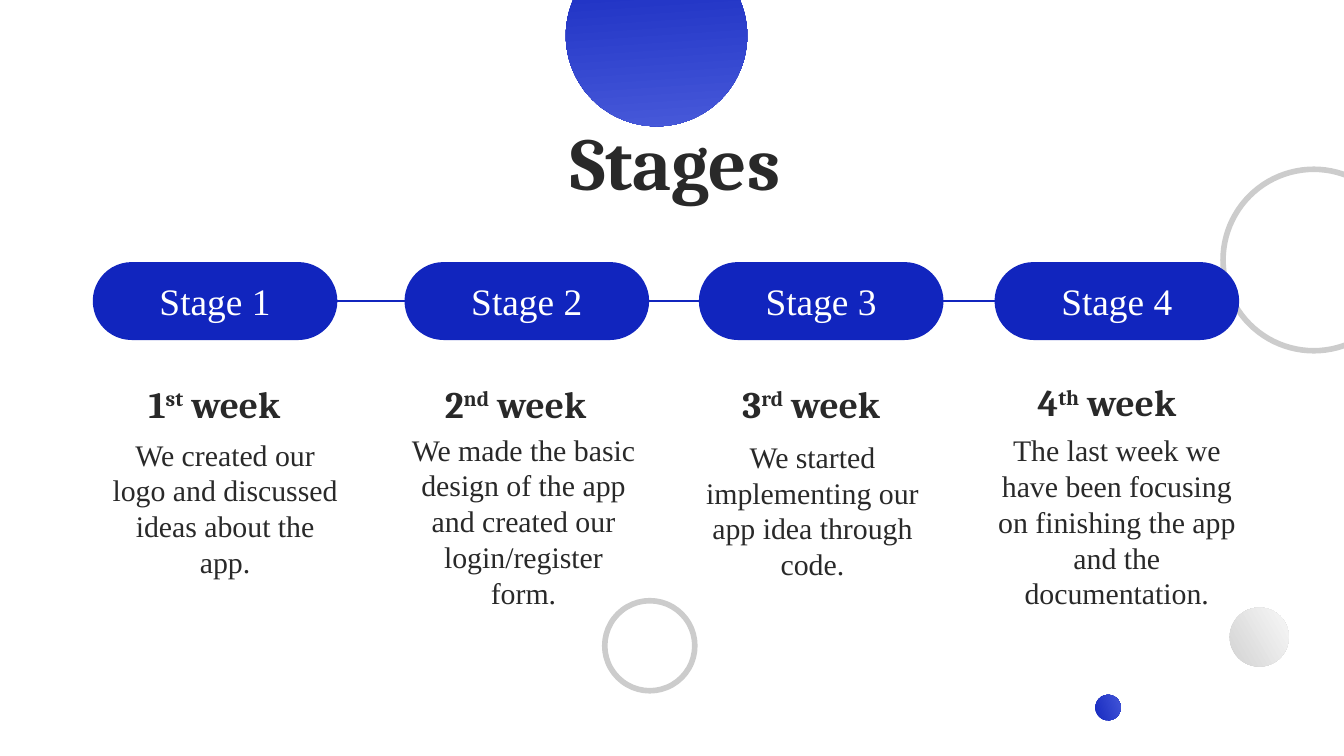
from dataclasses import dataclass

from lxml import etree
from pptx import Presentation
from pptx.dml.color import RGBColor
from pptx.enum import shapes as kinds, text as txt
from pptx.oxml.ns import qn
from pptx.util import Inches, Pt


@dataclass(frozen=True)
class Theme:
    blue: str = "1125BE"
    light_blue: str = "495BDA"
    grey: str = "CCCCCC"
    white: str = "FFFFFF"
    ink: str = "292929"
    heading_font: str = "Cambria"
    body_font: str = "Times New Roman"
    title_size: int = 40
    label_size: int = 20
    body_size: int = 16
    ring_width: float = 3
    link_width: float = 1.5


THEME = Theme()
PILL_TOP, PILL_WIDTH, PILL_HEIGHT = 1.95, 1.82, 0.58

# Pill left, number, ordinal suffix, week box, description, description box
STAGES = [
    (0.69, "1", "st", (0.65, 2.71, 1.89, 0.58),
     "We created our logo and discussed ideas about the app.",
     (0.73, 3.38, 1.89, 0.8)),
    (3.01, "2", "nd", (2.89, 2.71, 1.89, 0.58),
     "We made the basic design of the app and created our login/register form.",
     (2.95, 3.37, 1.89, 1.01)),
    (5.2, "3", "rd", (5.14, 2.71, 1.79, 0.58),
     "We started implementing our app idea through code.",
     (5.1, 3.29, 1.89, 1.01)),
    (7.4, "4", "th", (7.34, 2.7, 1.79, 0.58),
     "The last week we have been focusing on finishing the app and the documentation.",
     (7.3, 3.25, 2.02, 1.26)),
]


def rgb(colour):
    return RGBColor.from_string(colour)


def inches(box):
    return [Inches(length) for length in box]


def write(shape, pieces, font, size, colour, bold=False):
    """Fill a shape with one centred paragraph of (words, is_superscript) pieces."""
    frame = shape.text_frame
    frame.word_wrap = True
    frame.auto_size = txt.MSO_AUTO_SIZE.NONE
    frame.vertical_anchor = txt.MSO_ANCHOR.MIDDLE
    frame.margin_left = frame.margin_right = Inches(0.1)
    frame.margin_top = frame.margin_bottom = Inches(0.1)
    paragraph = frame.paragraphs[0]
    paragraph.alignment = txt.PP_ALIGN.CENTER
    for words, is_superscript in pieces:
        run = paragraph.add_run()
        run.text = words
        run.font.name = font
        run.font.size = Pt(size)
        run.font.bold = bold
        run.font.color.rgb = rgb(colour)
        if is_superscript:
            run.font._element.set("baseline", "30000")


def add_circle(slide, left, top, diameter):
    circle = slide.shapes.add_shape(
        kinds.MSO_SHAPE.OVAL, *inches((left, top, diameter, diameter)))
    circle.shadow.inherit = False
    return circle


def add_ball(slide, left, top, diameter, rotation, start, end):
    ball = add_circle(slide, left, top, diameter)
    ball.rotation = rotation
    ball.line.fill.background()
    ball.fill.gradient()
    ball.fill.gradient_angle = 270
    for stop, colour in zip(ball.fill.gradient_stops, (start, end)):
        stop.color.rgb = rgb(colour)


def add_ring(slide, left, top, diameter):
    ring = add_circle(slide, left, top, diameter)
    ring.fill.background()
    ring.line.color.rgb = rgb(THEME.grey)
    ring.line.width = Pt(THEME.ring_width)


def add_decoration(slide):
    add_ball(slide, 8.15, 5.17, 0.19, 251, THEME.blue, THEME.light_blue)
    add_ball(slide, 9.15, 4.52, 0.44, 240, THEME.grey, THEME.white)
    add_ring(slide, 9.1, 1.26, 1.35)
    add_ball(slide, 4.21, -0.41, 1.35, 356.1, THEME.blue, THEME.light_blue)
    add_ring(slide, 4.5, 4.47, 0.67)


def add_title(slide, box):
    title = slide.shapes.title
    title.left, title.top, title.width, title.height = inches(box)
    write(title, [("Stages", False)], THEME.heading_font, THEME.title_size,
          THEME.ink, bold=True)


def add_pill(slide, box, label):
    pill = slide.shapes.add_shape(kinds.MSO_SHAPE.ROUNDED_RECTANGLE, *inches(box))
    pill.adjustments[0] = 0.5
    pill.shadow.inherit = False
    pill.fill.solid()
    pill.fill.fore_color.rgb = rgb(THEME.blue)
    pill.line.fill.background()
    write(pill, [(label, False)], THEME.body_font, THEME.label_size, THEME.white)
    return pill


def link(slide, before, after):
    """Join the right side of one pill to the left side of the next."""
    connector = slide.shapes.add_connector(kinds.MSO_CONNECTOR.STRAIGHT, 0, 0, 0, 0)
    connector.begin_connect(before, 3)
    connector.end_connect(after, 1)
    connector.line.color.rgb = rgb(THEME.blue)
    connector.line.width = Pt(THEME.link_width)
    etree.SubElement(connector._element.spPr, qn("a:effectLst"))


def add_stage(slide, left, number, suffix, week_box, description, description_box):
    pill = add_pill(slide, (left, PILL_TOP, PILL_WIDTH, PILL_HEIGHT),
                    f"Stage {number}")
    week = slide.shapes.add_textbox(*inches(week_box))
    write(week, [(number, False), (suffix, True), (" week", False)],
          THEME.heading_font, THEME.label_size, THEME.ink, bold=True)
    summary = slide.shapes.add_textbox(*inches(description_box))
    write(summary, [(description, False)], THEME.body_font, THEME.body_size,
          THEME.ink)
    return pill


def main():
    deck = Presentation()
    deck.slide_width = Inches(10)
    deck.slide_height = deck.slide_width * 9 // 16
    slide = deck.slides.add_slide(deck.slide_layouts[5])
    add_decoration(slide)
    add_title(slide, (0.81, 0.88, 8.43, 0.63))
    pills = [add_stage(slide, *stage) for stage in STAGES]
    for before, after in zip(pills, pills[1:]):
        link(slide, before, after)
    deck.save("out.pptx")


if __name__ == "__main__":
    main()
